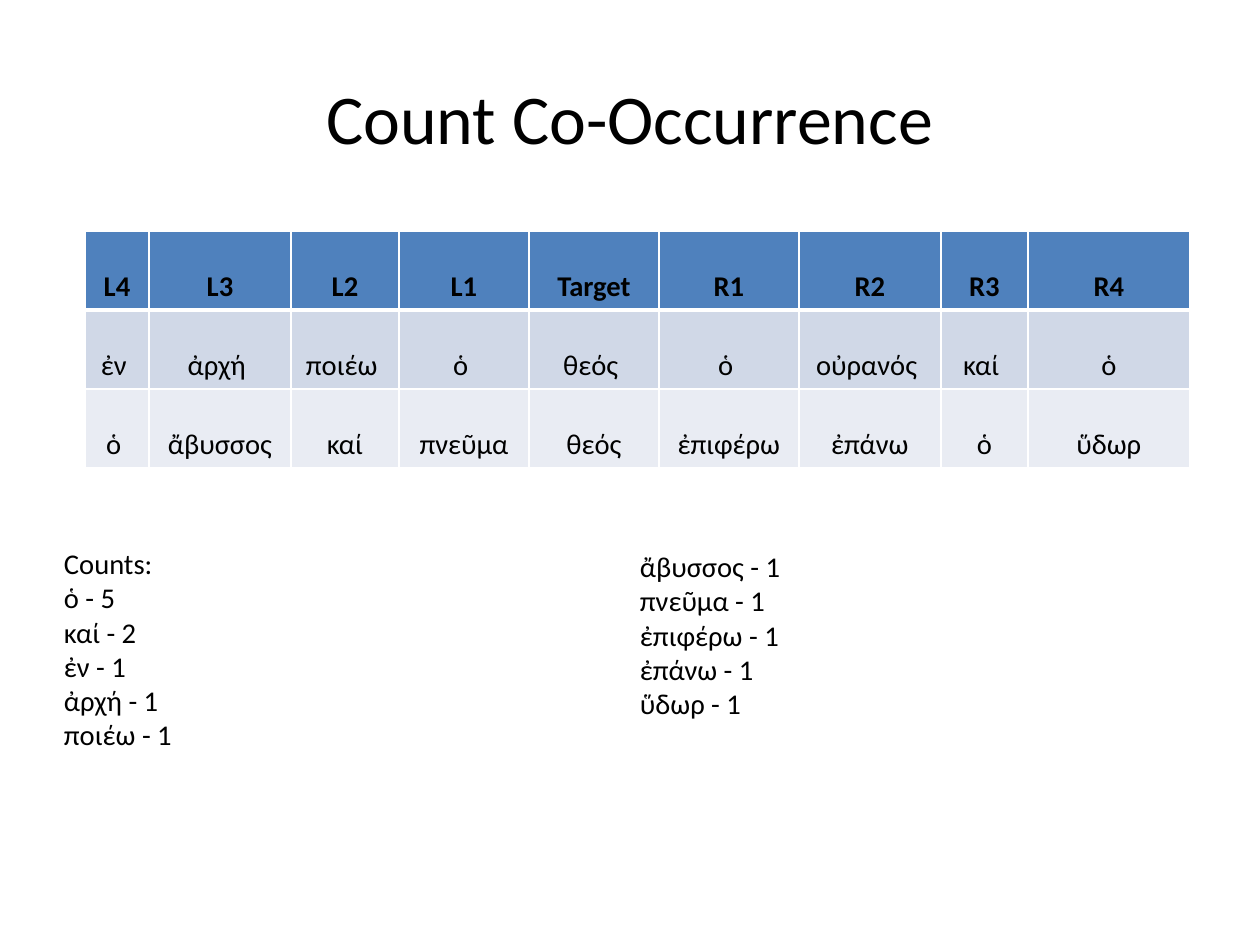
"""Build the co-occurrence count slide with its table and two count lists."""
from dataclasses import dataclass

from lxml import etree
from pptx import Presentation, util as u
from pptx.dml.color import RGBColor
from pptx.enum import text
from pptx.oxml import ns

TITLE = "Count Co-Occurrence"
ROWS = [
    ["L4", "L3", "L2", "L1", "Target", "R1", "R2", "R3", "R4"],
    ["ἐν ", "ἀρχή ", "ποιέω ", "ὁ ", "θεός ", "ὁ ", "οὐρανός ", "καί ", "ὁ"],
    ["ὁ ", "ἄβυσσος", "καί", "πνεῦμα", "θεός", "ἐπιφέρω", "ἐπάνω", "ὁ", "ὕδωρ"],
]
COUNTS_LEFT = ["Counts:", "ὁ - 5", "καί - 2", "ἐν - 1", "ἀρχή - 1", "ποιέω - 1"]
COUNTS_RIGHT = ["ἄβυσσος - 1", "πνεῦμα - 1", "ἐπιφέρω - 1", "ἐπάνω - 1", "ὕδωρ - 1"]

SLIDE = (1260, 945)
TITLE_BOX = (63, 38, 1134, 158)
COUNT_BOXES = [((64, 546, 553, 297), COUNTS_LEFT), ((640, 549, 553, 297), COUNTS_RIGHT)]
TABLE_AT = (85, 231)
COL_WIDTHS = [64, 142, 108, 130, 130, 140, 142, 87, 162]
ROW_HEIGHT = 79
CELL_MARGINS = (8, 6)


@dataclass(frozen=True)
class Theme:
    font: str = "Calibri"
    ink: str = "000000"
    border: str = "FFFFFF"
    row_fills: tuple = ("4F81BD", "D0D8E7", "E9ECF3")
    title_size: int = 44
    body_size: int = 18
    thin: float = 0.96
    thick: float = 3


THEME = Theme()


def px(n):
    return u.Emu(n * 8000)


def style(p, size, align, bold=False):
    p.alignment = align
    p.font.name = THEME.font
    p.font.size = u.Pt(size)
    p.font.bold = bold
    p.font.color.rgb = RGBColor.from_string(THEME.ink)


def add_text(s, box, lines, size, align, anchor):
    tf = s.shapes.add_textbox(*map(px, box)).text_frame
    tf.word_wrap = True
    tf.vertical_anchor = anchor
    tf.margin_left = tf.margin_top = tf.margin_right = tf.margin_bottom = 0
    tf.text = "\n".join(lines)
    for p in tf.paragraphs:
        style(p, size, align)


def set_borders(cell, top, bottom):
    tc_pr = cell._tc.get_or_add_tcPr()
    widths = {"a:lnL": THEME.thin, "a:lnR": THEME.thin, "a:lnT": top, "a:lnB": bottom}
    for tag, width in widths.items():
        ln = etree.SubElement(tc_pr, ns.qn(tag), w=str(u.Pt(width)))
        fill = etree.SubElement(ln, ns.qn("a:solidFill"))
        etree.SubElement(fill, ns.qn("a:srgbClr"), val=THEME.border)


def add_word_table(s):
    size = (sum(COL_WIDTHS), ROW_HEIGHT * len(ROWS))
    frame = s.shapes.add_table(len(ROWS), len(COL_WIDTHS), *map(px, TABLE_AT + size))
    table = frame.table
    for col, width in zip(table.columns, COL_WIDTHS):
        col.width = px(width)
    for i, words in enumerate(ROWS):
        table.rows[i].height = px(ROW_HEIGHT)
        top = THEME.thick if i == 1 else THEME.thin
        bottom = THEME.thick if i == 0 else THEME.thin
        for j, word in enumerate(words):
            cell = table.cell(i, j)
            cell.text = word
            cell.vertical_anchor = text.MSO_ANCHOR.BOTTOM
            cell.margin_left = cell.margin_right = px(CELL_MARGINS[0])
            cell.margin_top = cell.margin_bottom = px(CELL_MARGINS[1])
            p = cell.text_frame.paragraphs[0]
            style(p, THEME.body_size, text.PP_ALIGN.CENTER, bold=i == 0)
            p.line_spacing = 1.15
            set_borders(cell, top, bottom)
            cell.fill.solid()
            cell.fill.fore_color.rgb = RGBColor.from_string(THEME.row_fills[i])


def main():
    prs = Presentation()
    prs.slide_width, prs.slide_height = map(px, SLIDE)
    s = prs.slides.add_slide(prs.slide_layouts[6])
    add_text(s, TITLE_BOX, [TITLE], THEME.title_size,
             text.PP_ALIGN.CENTER, text.MSO_ANCHOR.MIDDLE)
    for box, lines in COUNT_BOXES:
        add_text(s, box, lines, THEME.body_size, text.PP_ALIGN.LEFT, text.MSO_ANCHOR.TOP)
    add_word_table(s)
    prs.save("out.pptx")


if __name__ == "__main__":
    main()
